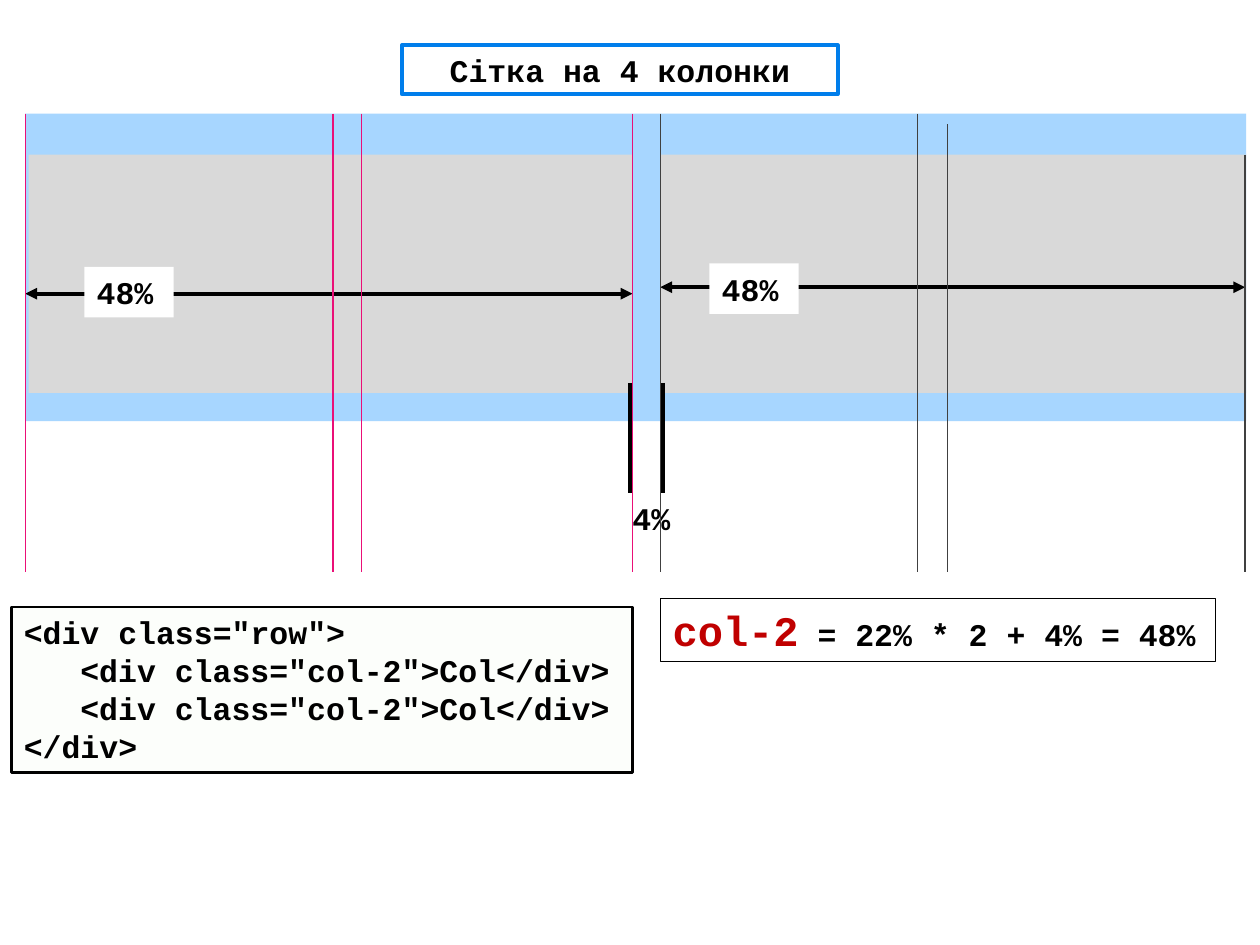
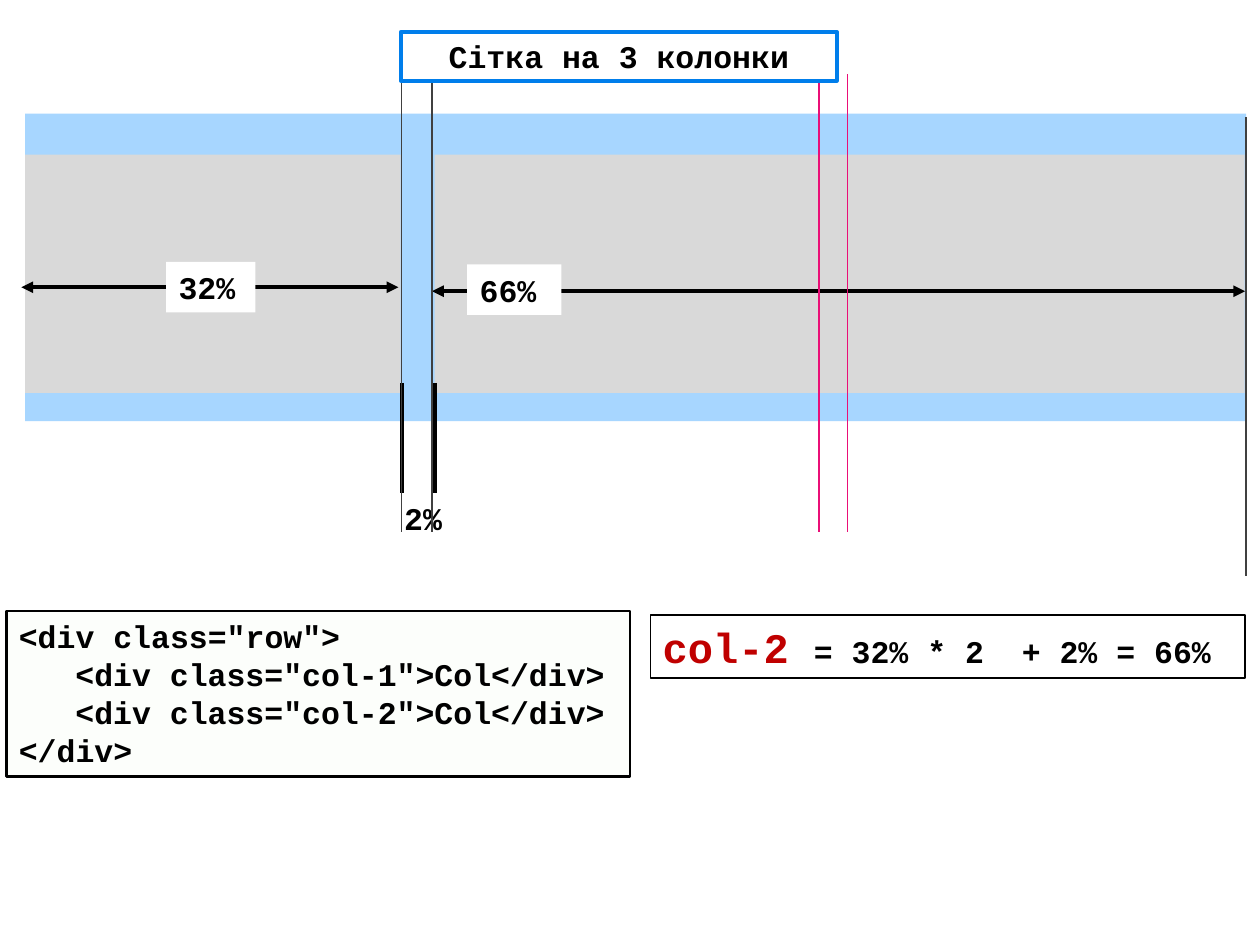
from lxml import etree
from pptx import Presentation
from pptx.dml.color import RGBColor
from pptx.enum import shapes, text
from pptx.oxml import ns
from pptx.util import Cm, Pt

FONT = "Courier New"
BLACK = RGBColor(0x00, 0x00, 0x00)
WHITE = RGBColor(0xFF, 0xFF, 0xFF)
SKY = RGBColor(0xA7, 0xD6, 0xFF)
GREY = RGBColor(0xD9, 0xD9, 0xD9)
BLUE = RGBColor(0x00, 0x7E, 0xEB)
PINK = RGBColor(0xEA, 0x0F, 0x77)
DARK = RGBColor(0x40, 0x40, 0x40)
RED = RGBColor(0xC0, 0x00, 0x00)
MINT = RGBColor(0xE5, 0xF6, 0xD8)
COLUMN_TOP, COLUMN_HEIGHT = 3.12, 4.8
LABEL_HEIGHT = 1.02


def add_run(paragraph, words, size=18, color=BLACK):
    """Append one bold monospaced run."""
    run = paragraph.add_run()
    run.text = words
    run.font.name = FONT
    run.font.size = Pt(size)
    run.font.bold = True
    run.font.color.rgb = color


def add_box(parent, left, top, width, height, fill=None, line=None, weight=0.75):
    """Add a flat rectangle with left-aligned text."""
    box = parent.shapes.add_shape(shapes.MSO_SHAPE.RECTANGLE, Cm(left), Cm(top), Cm(width), Cm(height))
    box.shadow.inherit = False
    if fill is None:
        box.fill.background()
    else:
        box.fill.solid()
        box.fill.fore_color.rgb = fill
    if line is None:
        box.line.fill.background()
    else:
        box.line.color.rgb = line
        box.line.width = Pt(weight)
    box.text_frame.vertical_anchor = text.MSO_ANCHOR.TOP
    box.text_frame.paragraphs[0].alignment = text.PP_ALIGN.LEFT
    return box


def add_line(parent, start, end, color=BLACK, weight=2.25, arrows=False):
    """Add a straight line, with arrowheads at both ends if asked."""
    line = parent.shapes.add_connector(
        shapes.MSO_CONNECTOR.STRAIGHT, Cm(start[0]), Cm(start[1]), Cm(end[0]), Cm(end[1]))
    line.line.color.rgb = color
    line.line.width = Pt(weight)
    if arrows:
        outline = line.line._get_or_add_ln()
        for end_name in ("a:headEnd", "a:tailEnd"):
            etree.SubElement(outline, ns.qn(end_name), type="triangle")
    etree.SubElement(line.element.spPr, ns.qn("a:effectLst"))


def add_title(slide, words, left, top):
    """Frame the title and bring it in front of the guides."""
    title = slide.shapes.title
    title.left, title.top, title.width, title.height = Cm(left), Cm(top), Cm(8.79), Cm(0.99)
    title.fill.solid()
    title.fill.fore_color.rgb = WHITE
    title.line.color.rgb = BLUE
    title.line.width = Pt(2)
    frame = title.text_frame
    frame.auto_size = text.MSO_AUTO_SIZE.NONE
    frame.vertical_anchor = text.MSO_ANCHOR.MIDDLE
    frame.paragraphs[0].alignment = text.PP_ALIGN.CENTER
    add_run(frame.paragraphs[0], words)
    title.element.getparent().append(title.element)


def add_row(slide, columns):
    """Draw the row band and the columns given as (left, width)."""
    add_box(slide, 0.51, 2.29, 24.61, 6.2, SKY)
    for left, width in columns:
        add_box(slide, left, COLUMN_TOP, width, COLUMN_HEIGHT, GREY)


def add_measure(slide, words, left, right, height, label_left, label_top, label_width=1.8):
    """Draw a double arrow with its percentage."""
    group = slide.shapes.add_group_shape()
    add_line(group, (left, height), (right, height), arrows=True)
    label = add_box(group, label_left, label_top, label_width, LABEL_HEIGHT, WHITE)
    add_run(label.text_frame.paragraphs[0], words)


def add_gap(slide, words, left):
    """Mark the gutter between two columns."""
    group = slide.shapes.add_group_shape()
    for x in (left, left + 0.66):
        add_line(group, (x, 7.72), (x, 9.93))
    label = group.shapes.add_textbox(Cm(left - 0.2), Cm(9.93), Cm(1.27), Cm(LABEL_HEIGHT))
    label.text_frame.word_wrap = False
    add_run(label.text_frame.paragraphs[0], words)


def add_guides(slide, positions, top, bottom, color):
    """Draw thin vertical guides."""
    for x in positions:
        add_line(slide, (x, top), (x, bottom), color, 0.75)


def add_code(slide, left, top, width, classes):
    """Show the markup of a row with one column per class."""
    box = add_box(slide, left, top, width, 3.33, MINT, BLACK, 1.5)
    color = box.fill._xPr.find(".//" + ns.qn("a:srgbClr"))
    etree.SubElement(color, ns.qn("a:alpha"), val="8000")
    columns = [f'<div class="{name}">Col</div>' for name in classes]
    frame = box.text_frame
    for index, words in enumerate(['<div class="row">', *columns, "</div>"]):
        paragraph = frame.add_paragraph() if index else frame.paragraphs[0]
        paragraph.alignment = text.PP_ALIGN.LEFT
        if words in columns:
            paragraph._p.get_or_add_pPr().set("marL", str(Cm(1.14)))
        add_run(paragraph, words)


def add_formula(slide, left, top, width, name, words):
    """Show how the width of a class is worked out."""
    box = add_box(slide, left, top, width, 1.27, line=BLACK)
    paragraph = box.text_frame.paragraphs[0]
    add_run(paragraph, name, 24, RED)
    add_run(paragraph, words)


def build_four_columns(slide):
    """Build the four-column grid slide."""
    add_code(slide, 0.23, 12.24, 12.52, ["col-2", "col-2"])
    add_row(slide, [(0.58, 12.17), (13.31, 11.81)])
    add_measure(slide, "48%", 0.51, 12.75, 5.92, 1.7, 5.38)
    add_gap(slide, "4%", 12.7)
    add_measure(slide, "48%", 13.31, 25.1, 5.79, 14.3, 5.31)
    add_guides(slide, [0.51, 6.71, 7.29, 12.75], 2.29, 11.53, PINK)
    add_guides(slide, [13.31, 18.49], 2.29, 11.53, DARK)
    add_guides(slide, [25.1], COLUMN_TOP, 11.53, DARK)
    add_guides(slide, [19.1], 2.51, 11.53, DARK)
    add_formula(slide, 13.31, 12.07, 11.2, "col-2", " = 22% * 2 + 4% = 48%")
    add_title(slide, "Сітка на 4 колонки", 8.1, 0.91)


def build_three_columns(slide):
    """Build the three-column grid slide."""
    add_code(slide, 0.13, 12.32, 12.57, ["col-1", "col-2"])
    add_row(slide, [(0.51, 7.57), (8.76, 16.33)])
    add_measure(slide, "32%", 0.43, 8.03, 5.79, 3.35, 5.28)
    add_gap(slide, "2%", 8.1)
    add_measure(slide, "66%", 8.71, 25.1, 5.87, 9.42, 5.33, 1.9)
    add_guides(slide, [8.1, 8.71], 1.5, 10.72, DARK)
    add_guides(slide, [25.12], 2.36, 11.61, DARK)
    add_formula(slide, 13.11, 12.4, 11.99, "сol-2 ", "= 32% * 2  + 2% = 66%")
    add_guides(slide, [16.51, 17.09], 1.5, 10.72, PINK)
    add_title(slide, "Сітка на 3 колонки", 8.08, 0.64)


def main():
    """Build and save the presentation."""
    presentation = Presentation()
    presentation.slide_width, presentation.slide_height = Cm(25.4), Cm(19.05)
    title_only = presentation.slide_layouts[5]
    for build in (build_four_columns, build_three_columns):
        build(presentation.slides.add_slide(title_only))
    presentation.save("out.pptx")


main()
